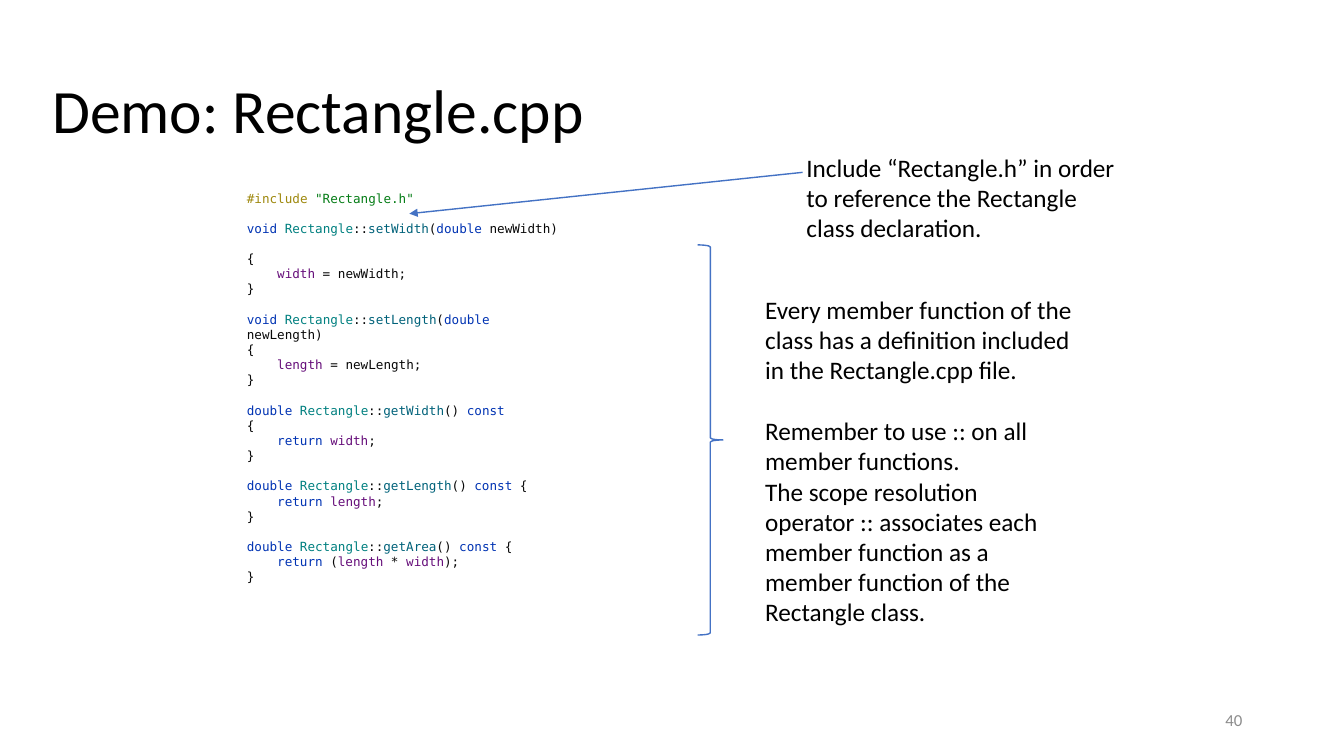
from pptx import Presentation
from pptx.dml.color import RGBColor
from pptx.enum.shapes import MSO_CONNECTOR, MSO_SHAPE
from pptx.enum.text import MSO_ANCHOR, PP_ALIGN
from pptx.oxml.ns import qn
from pptx.util import Inches, Pt
from lxml import etree

STRAIGHT = MSO_CONNECTOR.STRAIGHT
BRACE = MSO_SHAPE.RIGHT_BRACE
TOP, MIDDLE = MSO_ANCHOR.TOP, MSO_ANCHOR.MIDDLE
LEFT, RIGHT = PP_ALIGN.LEFT, PP_ALIGN.RIGHT

SANS, MONO = "Calibri", "DejaVu Sans Mono"
BLACK, WHITE, GRAY, BLUE = "000000", "FFFFFF", "8C8C8C", "4472C4"
PLAIN = "080808"
CODE_GAP, NOTE_GAP = 10.8, 21.7

# Words of each colour in the code
INK = {
    "9E880D": ["#include"],
    "067D17": ['"Rectangle.h"'],
    "0033B3": ["void", "double", "const", "return"],
    "008080": ["Rectangle"],
    "00627A": ["setWidth", "setLength", "getWidth", "getLength", "getArea"],
    "660E7A": ["width", "length"],
}
WORDS = {word: ink for ink, group in INK.items() for word in group}

# Blocks of code lines, with a bar between tokens
CODE = [
    ['#include |"Rectangle.h"'],
    ["void |Rectangle|::|setWidth|(|double |newWidth)"],
    ["{", "    |width |= newWidth;", "}"],
    ["void |Rectangle|::|setLength|(|double |newLength)",
     "{", "    |length |= newLength;", "}"],
    ["double |Rectangle|::|getWidth|() |const",
     "{", "    |return |width|;", "}"],
    ["double |Rectangle|::|getLength|() |const |{",
     "    |return |length|;", "}"],
    ["double |Rectangle|::|getArea|() |const |{",
     "    |return |(|length |* |width|);", "}"],
]


def color(text):
    return RGBColor.from_string(text)


def style(item, **values):
    for name, value in values.items():
        setattr(item, name, value)


def write(para, text, size, ink, face=SANS):
    run = para.add_run()
    run.text = text
    style(run.font, size=Pt(size), name=face)
    run.font.color.rgb = color(ink)


def frame(slide, box, anchor=TOP):
    """Add a wrapping text box and return it."""
    shape = slide.shapes.add_textbox(*map(Inches, box))
    style(shape.text_frame, word_wrap=True, vertical_anchor=anchor)
    return shape


def lines(shape, count):
    """Return the given number of paragraphs of a new text box."""
    text = shape.text_frame
    return [text.paragraphs[0]] + [text.add_paragraph() for _ in range(count - 1)]


def label(slide, box, text, size, ink, align=LEFT):
    para = lines(frame(slide, box, MIDDLE), 1)[0]
    style(para, alignment=align, line_spacing=0.9)
    write(para, text, size, ink)


def code(slide, box):
    shape = frame(slide, box)
    shape.fill.solid()
    shape.fill.fore_color.rgb = color(WHITE)
    rows = [(line, spot == 0 and block > 0)
            for block, group in enumerate(CODE) for spot, line in enumerate(group)]
    for para, (line, gap) in zip(lines(shape, len(rows)), rows):
        para.space_before = Pt(CODE_GAP if gap else 0)
        for token in line.split("|"):
            write(para, token, 9, WORDS.get(token.strip(), PLAIN), MONO)


def note(slide, box, *texts):
    """Add remarks, with a gap after the first one."""
    paras = lines(frame(slide, box), len(texts))
    for spot, (para, text) in enumerate(zip(paras, texts)):
        para.space_before = Pt(NOTE_GAP if spot == 1 else 0)
        write(para, text, 18, BLACK)


def brace(slide, box):
    shape = slide.shapes.add_shape(BRACE, *map(Inches, box))
    shape.shadow.inherit = False
    shape.fill.background()
    shape.line.color.rgb = color(BLUE)
    shape.line.width = Pt(1)


def arrow(slide, start, end):
    link = slide.shapes.add_connector(STRAIGHT, *map(Inches, start + end))
    link.line.color.rgb = color(BLUE)
    link.line.width = Pt(1)
    etree.SubElement(link.line._get_or_add_ln(), qn("a:tailEnd"), type="triangle")
    etree.SubElement(link._element.spPr, qn("a:effectLst"))


def main():
    deck = Presentation()
    style(deck, slide_width=Inches(13.33), slide_height=Inches(7.5))
    slide = deck.slides.add_slide(deck.slide_layouts[6])
    label(slide, (0.42, 0.4, 12.5, 1.45), "Demo: Rectangle.cpp", 44, BLACK)
    label(slide, (9.42, 6.95, 3, 0.4), "40", 12, GRAY, RIGHT)
    code(slide, (2.35, 1.84, 3.3, 4.19))
    note(slide, (7.49, 2.87, 3.32, 3.43),
         "Every member function of the class has a definition included in the "
         "Rectangle.cpp file.",
         "Remember to use :: on all member functions.",
         "The scope resolution operator :: associates each member function as a "
         "member function of the Rectangle class.")
    brace(slide, (6.92, 2.43, 0.25, 3.87))
    note(slide, (7.9, 1.46, 3.32, 1.01),
         "Include “Rectangle.h” in order to reference the Rectangle class declaration.")
    arrow(slide, (7.96, 1.71), (4.06, 2.12))
    deck.save("out.pptx")


if __name__ == "__main__":
    main()
